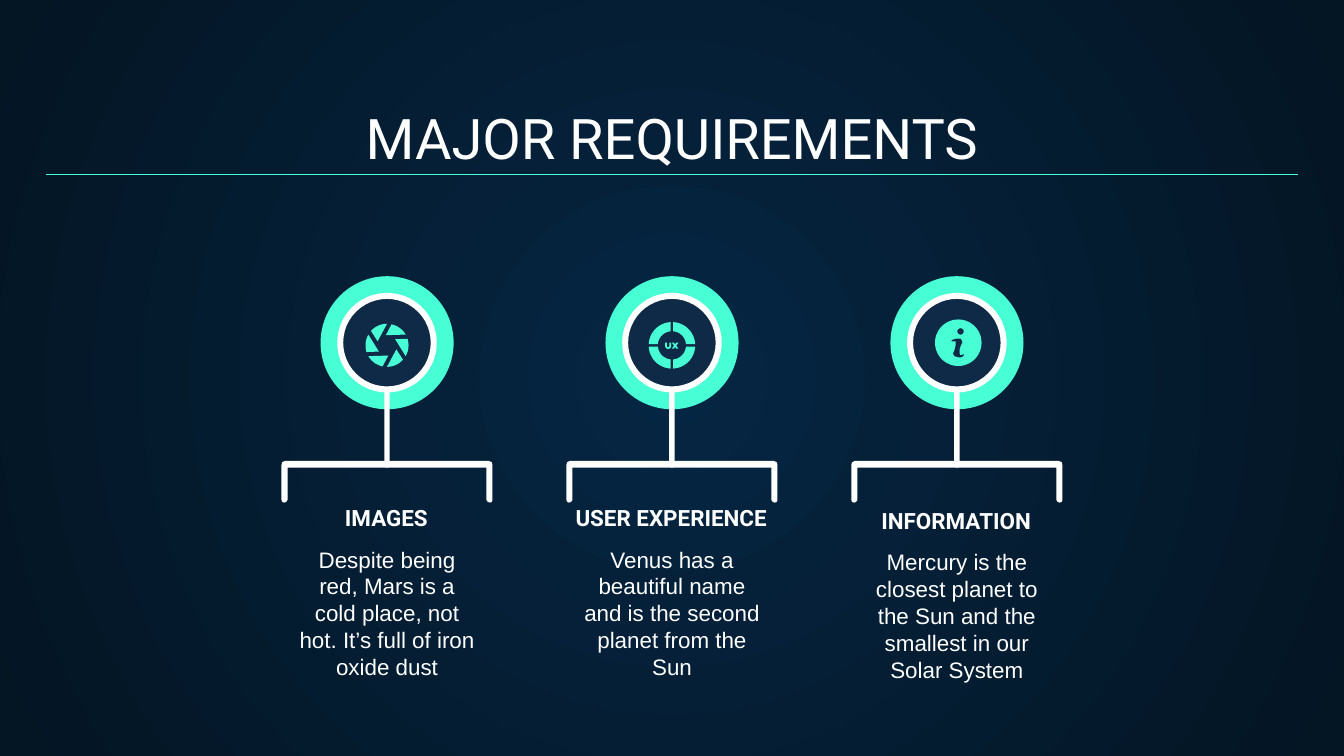
from math import asin, cos, degrees, radians, sin

from lxml import etree
from pptx import Presentation
from pptx.dml.color import RGBColor
from pptx.enum.shapes import MSO_CONNECTOR as LINK, MSO_SHAPE as SHAPE
from pptx.enum.text import MSO_ANCHOR as ANCHOR, PP_ALIGN as ALIGN
from pptx.oxml.ns import qn
from pptx.util import Inches, Pt

COLORS = {"white": "FFFFFF", "mint": "48FFD5", "navy": "0E2A47",
          "glow": "052643", "night": "041523"}


def color(name):
    return RGBColor.from_string(COLORS[name])


def paint(shape, name):
    shape.shadow.inherit = False
    shape.fill.solid()
    shape.fill.fore_color.rgb = color(name)
    shape.line.fill.background()
    return shape


def preset(slide, kind, x, y, w, h, name):
    box = [Inches(v) for v in (x, y, w, h)]
    return paint(slide.shapes.add_shape(kind, *box), name)


def disc(slide, mid, size, name, kind=SHAPE.OVAL):
    x, y = mid
    return preset(slide, kind, x - size / 2, y - size / 2, size, size, name)


def outline(slide, mid, loops, name):
    """Fill closed loops of points, in hundredths of an inch from mid."""
    x, y = mid
    loops = [[(Inches(x + a / 100), Inches(y + b / 100)) for a, b in loop]
             for loop in loops]
    build = slide.shapes.build_freeform(*loops[0][0])
    build.add_line_segments(loops[0][1:])
    for loop in loops[1:]:
        build.move_to(*loop[0])
        build.add_line_segments(loop[1:])
    return paint(build.convert_to_shape(), name)


def arc(r, start, end, x=0, y=0, steps=24):
    turns = [radians(start + (end - start) * i / steps) for i in range(steps + 1)]
    return [(x + r * cos(t), y + r * sin(t)) for t in turns]


def spin(points, turn):
    c, s = cos(radians(turn)), sin(radians(turn))
    return [(x * c - y * s, x * s + y * c) for x, y in points]


def text(slide, box, words, size, font, bold=False, anchor=ANCHOR.TOP):
    frame = slide.shapes.add_textbox(*[Inches(v) for v in box]).text_frame
    frame.word_wrap = True
    frame.vertical_anchor = anchor
    frame.margin_left = frame.margin_right = Inches(0.1)
    frame.margin_top = frame.margin_bottom = Inches(0.1)
    para = frame.paragraphs[0]
    para.text = words
    para.alignment = ALIGN.CENTER
    para.font.size = Pt(size)
    para.font.name = font
    para.font.bold = bold
    para.font.color.rgb = color("white")


def shutter(slide, x, y):
    blade = arc(16, 222, 270) + [(-7, -3)]
    for turn in range(0, 360, 60):
        outline(slide, (x, y + 0.02), [spin(blade, turn)], "mint")


def target(slide, x, y):
    """Four ring quarters around the letters UX."""
    mid = (x, y + 0.02)
    far, near, gap = 17.3, 10.5, 0.9
    out, inn = (degrees(asin(gap / r)) for r in (far, near))
    quarter = arc(far, out, 90 - out) + arc(near, 90 - inn, inn)
    for turn in range(0, 360, 90):
        outline(slide, mid, [spin(quarter, turn)], "mint")
    cup = [(-5, -2)] + arc(2.2, 180, 0, -2.8, 0.4) + [(-0.6, -2), (-1.9, -2)]
    cup += arc(0.9, 0, 180, -2.8, 0.4) + [(-3.7, -2)]
    outline(slide, mid, [cup], "mint")
    arm = [(0, -2), (1.6, -2), (2.4, -0.7), (3.2, -2), (4.8, -2), (3.3, 0.2)]
    cross = arm + [(4.8 - a, 0.4 - b) for a, b in arm]
    outline(slide, mid, [cross], "mint")


def info(slide, x, y):
    stem = [(-5, -2), (-2, -3), (2, -3), (3, -1), (3, 0), (2, 2), (1, 5),
            (1, 8), (1.5, 9), (3, 9), (4, 8), (4, 10), (2, 11), (0, 11),
            (-3, 10), (-4, 8), (-3, 6), (-2, 2), (-2, -1), (-5, -1)]
    dot = arc(2.4, 0, 360, 1.7, -8.4)
    outline(slide, (x + 0.01, y), [arc(17.3, 0, 360, steps=72), stem, dot], "mint")


def column(slide, x, y, icon, head, body, drop):
    """One requirement, centred on x, with its badge starting at y."""
    mid = (x, y + 0.49)
    half = [(76, 0), (78, 1), (78.5, 3), (78.5, 29), (78, 30.5), (76.5, 31),
            (75, 30.5), (74, 29), (74, 5)]
    bracket = half + [(-a, b) for a, b in reversed(half)]
    outline(slide, (x, y + 1.37), [bracket], "white")
    disc(slide, mid, 0.99, "mint")
    stem = preset(slide, SHAPE.ROUNDED_RECTANGLE, x - 0.02, y + 0.42, 0.04, 1, "white")
    stem.adjustments[0] = 0.5
    disc(slide, mid, 0.7, "navy")
    ring = disc(slide, mid, 0.74, "white", SHAPE.DONUT)
    ring.adjustments[0] = 0.06
    icon(slide, *mid)
    text(slide, (x - 0.76, y + 1.9 + drop, 1.52, 0.55), body, 12, "Arial")
    text(slide, (x - 1.14, y + 1.78 + drop, 2.27, 0.21), head, 12, "Roboto",
         bold=True, anchor=ANCHOR.BOTTOM)


def header(slide, x, y, w, words):
    text(slide, (x, y + 0.01, w, 0.66), words, 30, "Roboto", anchor=ANCHOR.BOTTOM)
    ends = [Inches(v) for v in (x, y + 0.6, x + w, y + 0.6)]
    rule = slide.shapes.add_connector(LINK.STRAIGHT, *ends)
    rule.line.color.rgb = color("mint")
    rule.line.width = Pt(0.75)
    etree.SubElement(rule.element.spPr, qn("a:effectLst"))


def backdrop(slide):
    """Lay a radial glow behind the slide."""
    fill = slide.background.fill
    fill.gradient()
    for stop, name, place in zip(fill.gradient_stops, ("glow", "night"), (0, 1)):
        stop.color.rgb = color(name)
        stop.position = place
    grad = slide.element.find(".//" + qn("a:gradFill"))
    grad.remove(grad.find(qn("a:lin")))
    way = etree.SubElement(grad, qn("a:path"), {"path": "circle"})
    etree.SubElement(way, qn("a:fillToRect"), dict.fromkeys("ltrb", "50000"))


COLUMNS = [
    (shutter, "IMAGES", "Despite being red, Mars is a cold place, not hot. "
     "It’s full of iron oxide dust", 0),
    (target, "USER EXPERIENCE", "Venus has a beautiful name and is the second "
     "planet from the Sun", 0),
    (info, "INFORMATION", "Mercury is the closest planet to the Sun and the "
     "smallest in our Solar System", 0.02),
]


def main():
    deck = Presentation()
    deck.slide_width = Inches(10)
    deck.slide_height = deck.slide_width * 9 // 16
    slide = deck.slides.add_slide(deck.slide_layouts[6])
    backdrop(slide)
    header(slide, 0.34, 0.7, 9.32, "MAJOR REQUIREMENTS")
    for i, parts in enumerate(COLUMNS):
        column(slide, 2.88 + 2.12 * i, 2.06, *parts)
    deck.save("out.pptx")


if __name__ == "__main__":
    main()
